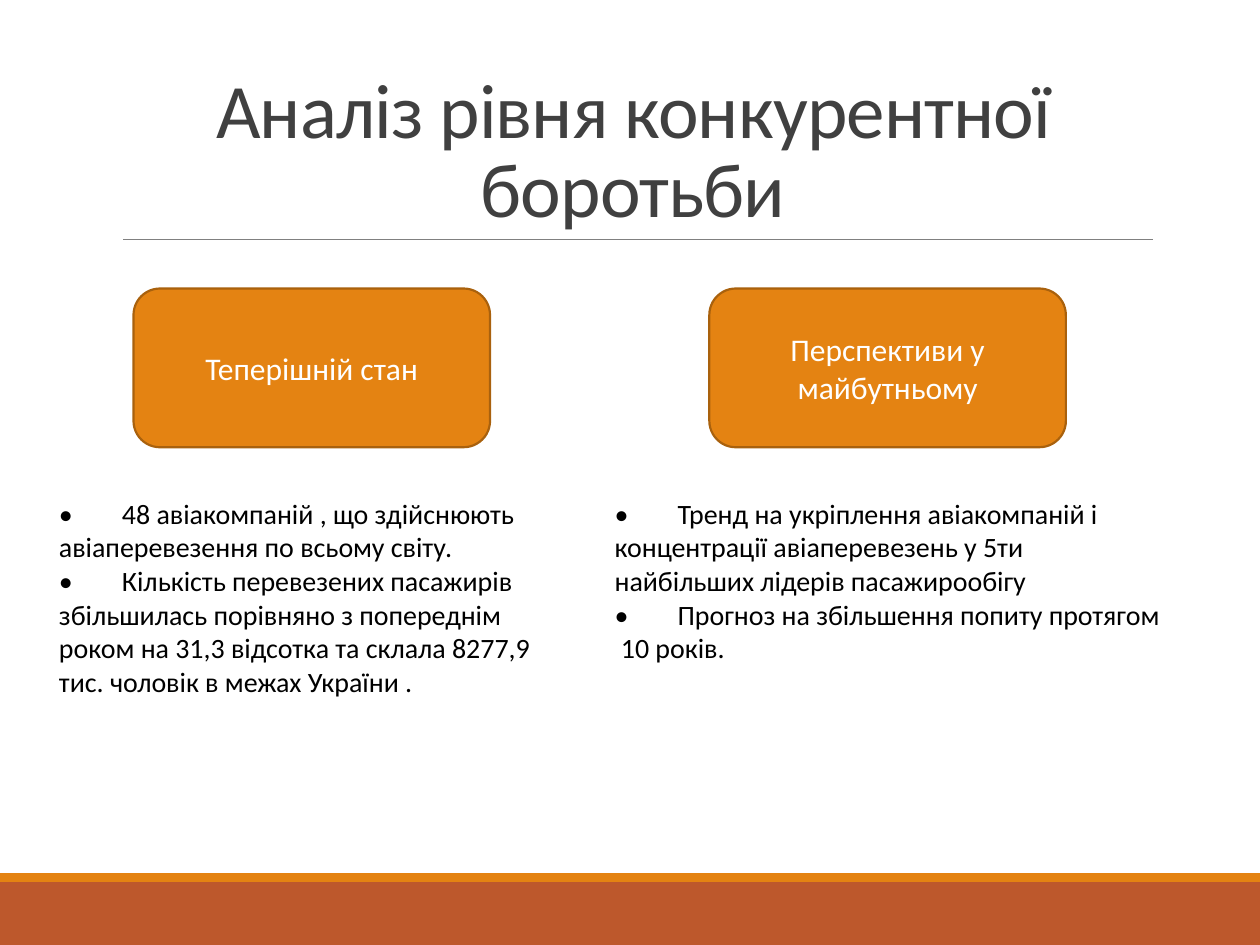
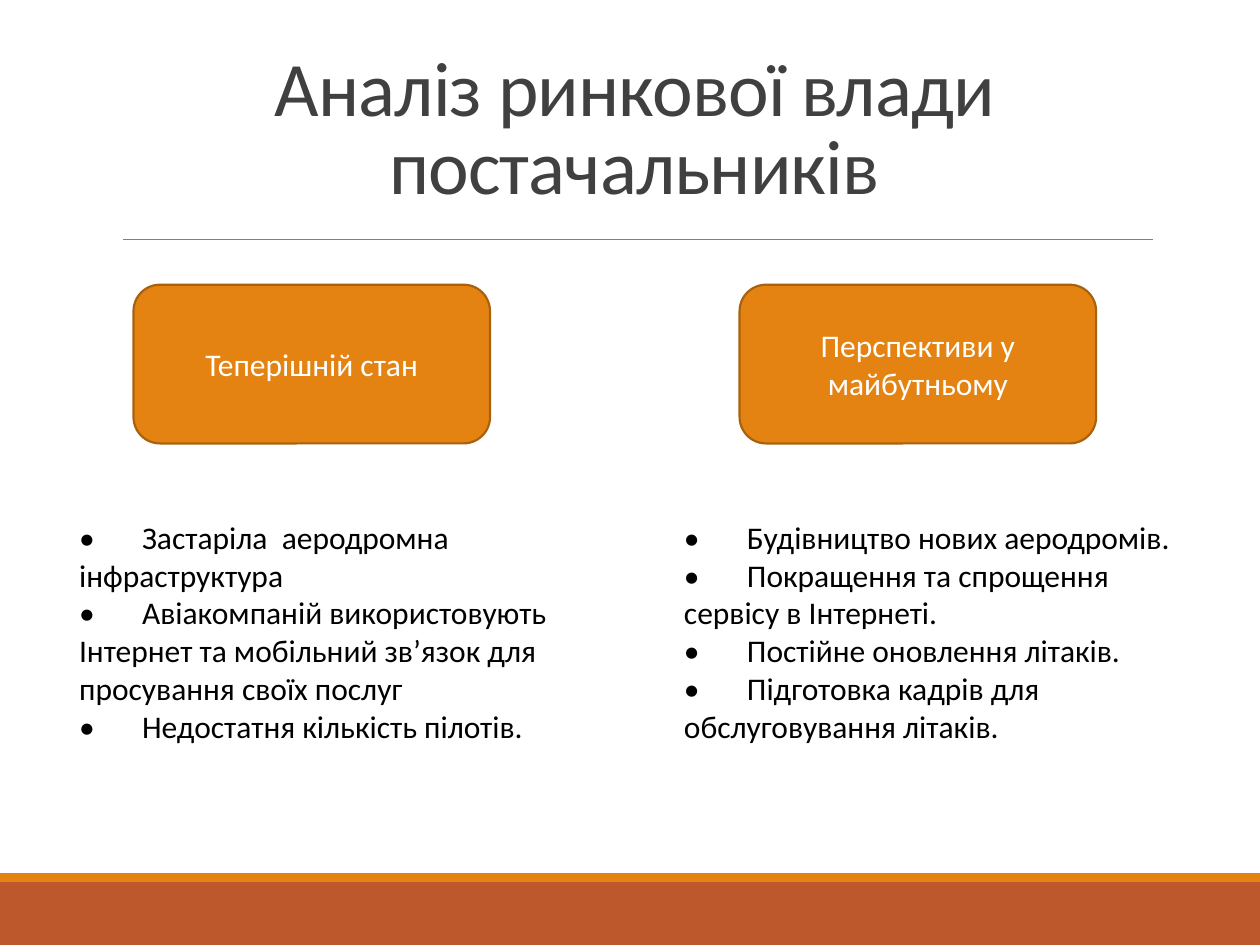
from lxml import etree
from pptx import Presentation
from pptx import util as u
from pptx.dml.color import RGBColor
from pptx.enum import shapes, text
from pptx.oxml import ns

FONT = "Calibri"
BRICK, ORANGE, BROWN = "BD582C", "E48312", "A9610D"
GREY, DARK, BLACK, WHITE = "808080", "404040", "000000", "FFFFFF"

TITLE = dict(size=u.Pt(44), color=DARK)
LABEL = dict(size=u.Pt(18), color=WHITE)
TITLE_SIZE = (8.25, 1.59)
LABEL_SIZE = (2.83, 1.26)
HEADINGS = ("Теперішній стан", "Перспективи у майбутньому")

SLIDES = [
    dict(
        title="Аналіз рівня конкурентної боротьби",
        title_at=(0.9, 0.31),
        label_lefts=(1.06, 5.63), label_top=2.29,
        list_boxes=((0.37, 3.89, 4.23, 1.72), (4.78, 3.89, 4.53, 1.45)),
        list_size=16,
        lists=(
            ["48 авіакомпаній , що здійснюють авіаперевезення по всьому світу.",
             "Кількість перевезених пасажирів збільшилась порівняно з попереднім "
             "роком на 31,3 відсотка та склала 8277,9 тис. чоловік в межах України ."],
            ["Тренд на укріплення авіакомпаній і концентрації авіаперевезень "
             "у 5ти найбільших лідерів пасажирообігу",
             "Прогноз на збільшення попиту протягом  10 років."],
        ),
    ),
    dict(
        title="Аналіз ринкової влади постачальників",
        title_at=(0.91, 0.13),
        label_lefts=(1.06, 5.87), label_top=2.26,
        list_boxes=((0.53, 4.06, 4.76, 1.92), (5.33, 4.06, 4.19, 1.92)),
        list_size=18,
        lists=(
            ["Застаріла  аеродромна інфраструктура",
             "Авіакомпаній використовують Інтернет та мобільний зв’язок "
             "для просування своїх послуг",
             "Недостатня кількість пілотів."],
            ["Будівництво нових аеродромів.",
             "Покращення та спрощення сервісу в Інтернеті.",
             "Постійне оновлення літаків.",
             "Підготовка кадрів для обслуговування літаків."],
        ),
    ),
]


def rgb(value):
    return RGBColor.from_string(value)


def inches(values):
    return [u.Inches(v) for v in values]


def set_attrs(obj, values):
    for name, value in values.items():
        setattr(obj, name, value)


class Deck:
    """Holds the presentation, its shared style and the current slide."""

    def __init__(self):
        self.prs = Presentation()
        self.prs.slide_width, self.prs.slide_height = inches((10, 7.5))
        self.s = None

    def new_slide(self):
        self.s = self.prs.slides.add_slide(self.prs.slide_layouts[6])
        self.shape("RECTANGLE", (0, 7, 10, 0.5), BRICK)
        self.shape("RECTANGLE", (0, 6.93, 10, 0.07), ORANGE)
        self.rule(0.98, 9.15, 1.9)

    def shape(self, kind, box, fill, line=None):
        sp = self.s.shapes.add_shape(getattr(shapes.MSO_SHAPE, kind), *inches(box))
        sp.shadow.inherit = False
        sp.fill.solid()
        sp.fill.fore_color.rgb = rgb(fill)
        if line:
            sp.line.color.rgb = rgb(line)
            sp.line.width = u.Pt(1.25)
        else:
            sp.line.fill.background()
        return sp

    def rule(self, left, right, y):
        cx = self.s.shapes.add_connector(shapes.MSO_CONNECTOR.STRAIGHT,
                                         *inches((left, y, right, y)))
        cx.line.color.rgb = rgb(GREY)
        cx.line.width = u.Pt(0.5)
        etree.SubElement(cx._element.spPr, ns.qn("a:effectLst"))

    def put_text(self, sp, lines, style, anchor="TOP", align="LEFT"):
        """Fill a shape with one paragraph per line and return the paragraphs."""
        tf = sp.text_frame
        set_attrs(tf, dict(word_wrap=True,
                           vertical_anchor=getattr(text.MSO_ANCHOR, anchor)))
        for i, line in enumerate(lines):
            p = tf.add_paragraph() if i else tf.paragraphs[0]
            p.alignment = getattr(text.PP_ALIGN, align)
            r = p.add_run()
            r.text = line
            set_attrs(r.font, dict(name=FONT, size=style["size"]))
            r.font.color.rgb = rgb(style["color"])
        return tf.paragraphs

    def title(self, words, at):
        sp = self.s.shapes.add_textbox(*inches(at + TITLE_SIZE))
        p = self.put_text(sp, [words], TITLE, "BOTTOM", "CENTER")[0]
        p.line_spacing = 0.85
        p.runs[0].font._element.set("spc", "-50")

    def label(self, words, left, top):
        sp = self.shape("ROUNDED_RECTANGLE", (left, top) + LABEL_SIZE, ORANGE, BROWN)
        self.put_text(sp, [words], LABEL, "MIDDLE", "CENTER")

    def bullet_list(self, items, box, size):
        """Bullets followed by a tab; wrapped lines return to the left edge."""
        sp = self.s.shapes.add_textbox(*inches(box))
        style = dict(size=u.Pt(size), color=BLACK)
        for p in self.put_text(sp, [f"•\t{item}" for item in items], style):
            tabs = etree.SubElement(p._p.get_or_add_pPr(), ns.qn("a:tabLst"))
            etree.SubElement(tabs, ns.qn("a:tab"), pos=str(u.Inches(0.5)), algn="l")


def main():
    deck = Deck()
    for page in SLIDES:
        deck.new_slide()
        deck.title(page["title"], page["title_at"])
        for heading, left in zip(HEADINGS, page["label_lefts"]):
            deck.label(heading, left, page["label_top"])
        for items, box in zip(page["lists"], page["list_boxes"]):
            deck.bullet_list(items, box, page["list_size"])
    deck.prs.save("out.pptx")


if __name__ == "__main__":
    main()
